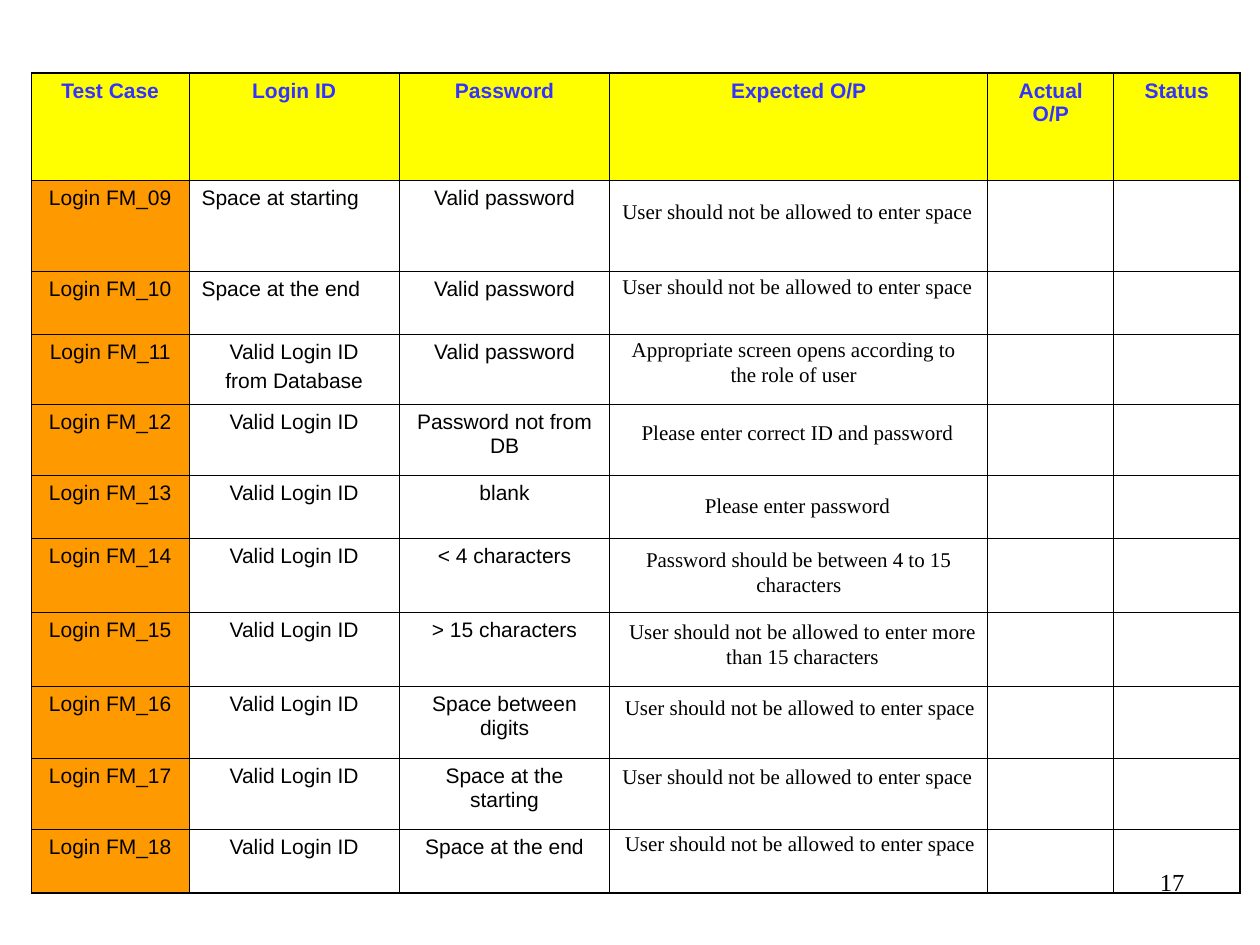
"""Build the slide with the login form test cases."""
from pptx import Presentation
from pptx.dml.color import RGBColor
from pptx.enum.text import MSO_AUTO_SIZE, PP_ALIGN
from pptx.oxml import parse_xml
from pptx.oxml.ns import nsdecls
from pptx.util import Inches, Pt

COLUMN_WIDTHS = [1.25, 1.67, 1.67, 3, 1, 1]
ROW_HEIGHTS = [0.85, 0.72, 0.5, 0.56, 0.56, 0.5, 0.59, 0.59, 0.57, 0.56, 0.51]
HEADERS = ["Test Case", "Login ID", "Password", "Expected O/P", "Actual O/P", "Status"]
VALID_LOGIN = "Valid Login ID"
CREDENTIALS = [
    ("Space at starting", "Valid password"),
    ("Space at the end", "Valid password"),
    (f"{VALID_LOGIN}\nfrom Database", "Valid password"),
    (VALID_LOGIN, "Password not from DB"),
    (VALID_LOGIN, "blank"),
    (VALID_LOGIN, "< 4 characters"),
    (VALID_LOGIN, "> 15 characters"),
    (VALID_LOGIN, "Space between digits"),
    (VALID_LOGIN, "Space at the starting"),
    (VALID_LOGIN, "Space at the end"),
]
NO_SPACE = "User should not be allowed to enter space"
EXPECTED_OUTPUTS = [
    (4.83, 1.53, 0.3, NO_SPACE),
    (4.83, 2.12, 0.3, NO_SPACE),
    (4.8, 2.62, 0.5, "Appropriate screen opens according to the role of user"),
    (4.83, 3.28, 0.3, "Please enter correct ID and password"),
    (4.83, 3.86, 0.3, "Please enter password"),
    (4.84, 4.29, 0.5, "Password should be between 4 to 15 characters"),
    (4.87, 4.86, 0.5, "User should not be allowed to enter more than 15 characters"),
    (4.85, 5.46, 0.3, NO_SPACE),
    (4.83, 6.01, 0.3, NO_SPACE),
    (4.85, 6.54, 0.3, NO_SPACE),
]


def color(value):
    return RGBColor.from_string(value)


class SlideBuilder:
    body_font = "Times New Roman"
    table_font = "Arial"
    text_color = "000000"
    header_color = "3333FF"
    header_fill = "FFFF00"
    case_fill = "FF9900"
    inner_line = 0.45
    outer_line = 1.08

    def __init__(self, slide):
        self.slide = slide

    def set_text(self, frame, text, font_name, size=12, font_color=text_color,
                 bold=False, alignment=PP_ALIGN.CENTER):
        frame.text = text
        for index, paragraph in enumerate(frame.paragraphs):
            paragraph.alignment = alignment
            if index:
                paragraph.space_before = Pt(3)
            font = paragraph.font
            font.name = font_name
            font.size = Pt(size)
            font.bold = bold
            font.color.rgb = color(font_color)

    def text_box(self, left, top, width, height, text, **style):
        shape = self.slide.shapes.add_textbox(
            Inches(left), Inches(top), Inches(width), Inches(height))
        frame = shape.text_frame
        frame.word_wrap = True
        frame.auto_size = MSO_AUTO_SIZE.NONE
        self.set_text(frame, text, self.body_font, **style)

    def borders(self, cell, outer_sides):
        properties = cell._tc.get_or_add_tcPr()
        for side in "LRTB":
            width = Pt(self.outer_line if side in outer_sides else self.inner_line)
            properties.append(parse_xml(
                f'<a:ln{side} {nsdecls("a")} w="{width}"><a:solidFill>'
                f'<a:srgbClr val="{self.text_color}"/></a:solidFill></a:ln{side}>'))

    def fill(self, cell, row_index, column_index):
        if row_index and column_index:
            cell.fill.background()
            return
        cell.fill.solid()
        cell.fill.fore_color.rgb = color(self.case_fill if row_index else self.header_fill)

    def table(self, left, top, column_widths, row_heights, rows):
        table = self.slide.shapes.add_table(
            len(rows), len(column_widths), Inches(left), Inches(top),
            Inches(sum(column_widths)), Inches(sum(row_heights))).table
        table.first_row = table.horz_banding = False
        for column, width in zip(table.columns, column_widths):
            column.width = Inches(width)
        for row, height in zip(table.rows, row_heights):
            row.height = Inches(height)
        last_row, last_column = len(rows) - 1, len(column_widths) - 1
        for row_index, texts in enumerate(rows):
            header = row_index == 0
            for column_index, text in enumerate(texts):
                cell = table.cell(row_index, column_index)
                edges = {"L": column_index == 0, "R": column_index == last_column,
                         "T": header, "B": row_index == last_row}
                self.borders(cell, [side for side, outer in edges.items() if outer])
                self.fill(cell, row_index, column_index)
                left_aligned = column_index == 1 and text.startswith("Space")
                self.set_text(cell.text_frame, text, self.table_font, bold=header,
                              font_color=self.header_color if header else self.text_color,
                              alignment=PP_ALIGN.LEFT if left_aligned else PP_ALIGN.CENTER)


def main():
    presentation = Presentation()
    presentation.slide_width = Inches(10)
    presentation.slide_height = Inches(7.5)
    builder = SlideBuilder(presentation.slides.add_slide(presentation.slide_layouts[6]))

    builder.text_box(7.17, 6.83, 2.33, 0.52, "17", size=14, alignment=PP_ALIGN.RIGHT)
    cases = [[f"Login FM_{number:02}", login, password, "", "", ""]
             for number, (login, password) in enumerate(CREDENTIALS, start=9)]
    builder.table(0.25, 0.58, COLUMN_WIDTHS, ROW_HEIGHTS, [HEADERS] + cases)
    for left, top, height, text in EXPECTED_OUTPUTS:
        builder.text_box(left, top, 3, height, text)

    presentation.save("out.pptx")


if __name__ == "__main__":
    main()
